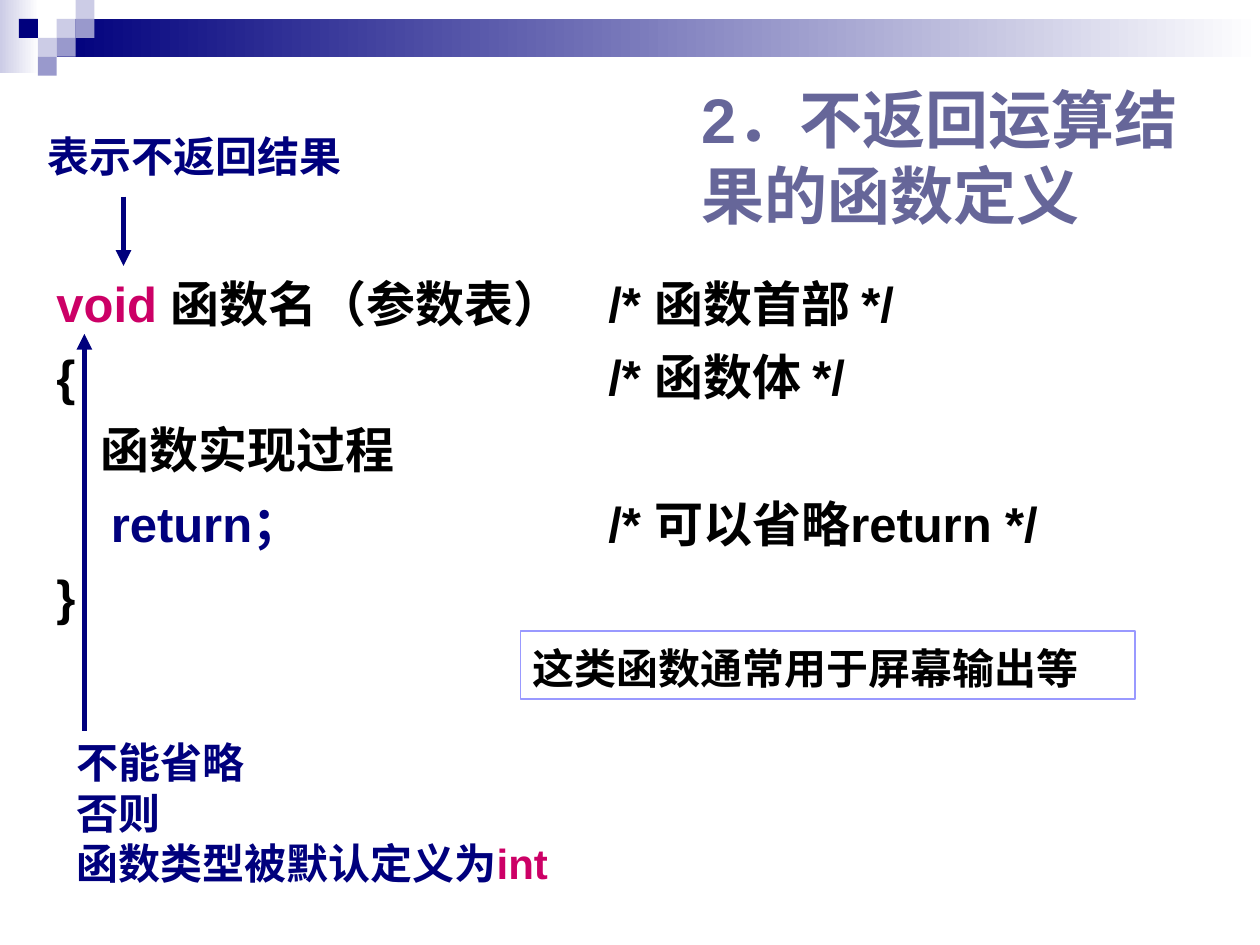
from lxml.etree import SubElement
from pptx import Presentation
from pptx.dml.color import RGBColor
from pptx.enum.shapes import MSO_CONNECTOR, MSO_SHAPE
from pptx.enum.text import MSO_ANCHOR as ANCHOR, PP_ALIGN as ALIGN
from pptx.oxml.ns import qn
from pptx.util import Inches, Pt

FONT = "Arial"
WHITE = RGBColor(0xFF, 0xFF, 0xFF)
BLACK = RGBColor(0, 0, 0)
NAVY = RGBColor(0, 0, 0x7D)
MAGENTA = RGBColor(0xCC, 0, 0x66)
TITLE_COLOR = RGBColor(0x66, 0x66, 0x99)
PALE = RGBColor(0xCC, 0xCC, 0xE6)
LAVENDER = RGBColor(0x99, 0x99, 0xCC)
BORDER = RGBColor(0x99, 0x99, 0xFF)

# Each text is a list of lines, each line a list of (words, colour) runs.
TITLE = [[("2．不返回运算结果的函数定义", TITLE_COLOR)]]
CODE = [
    [("void ", MAGENTA), ("函数名（参数表）\t/* 函数首部 */", BLACK)],
    [("{\t/* 函数体 */", BLACK)],
    [("    函数实现过程", BLACK)],
    [("    return；\t", NAVY), ("/* 可以省略return */", BLACK)],
    [("}", BLACK)],
]
USAGE = [[("这类函数通常用于屏幕输出等", BLACK)]]
VOID_MEANING = [[("表示不返回结果", NAVY)]]
VOID_REQUIRED = [
    [("不能省略", NAVY)],
    [("否则", NAVY)],
    [("函数类型被默认定义为", NAVY), ("int", MAGENTA)],
]

COMMENT_TAB = 4.38
TILE = 0.15
TILES = [  # column, row, colour
    (3, 1, PALE), (4, 0, PALE), (4, 1, LAVENDER), (2, 2, PALE),
    (1, 1, NAVY), (3, 2, LAVENDER), (2, 3, LAVENDER),
]
FADES = [((0, 0, 0.31, 0.58), PALE), ((0.45, 0.15, 9.55, 0.3), NAVY)]
ARROWS = [((0.98, 1.56), (0.98, 2.11)), ((0.67, 5.8), (0.67, 2.65))]


def add_rect(slide, box):
    rect = slide.shapes.add_shape(MSO_SHAPE.RECTANGLE, *map(Inches, box))
    rect.shadow.inherit = False
    rect.line.fill.background()
    return rect


def add_fade(slide, box, color):
    """Rectangle running from color at the left to white at the right."""
    fill = add_rect(slide, box).fill
    fill.gradient()
    fill.gradient_angle = 180
    for stop, stop_color in zip(fill.gradient_stops, (WHITE, color)):
        stop.color.rgb = stop_color


def add_tile(slide, column, row, color):
    fill = add_rect(slide, (column * TILE, row * TILE, TILE, TILE)).fill
    fill.solid()
    fill.fore_color.rgb = color


def write(shape, lines, size, align=ALIGN.LEFT, anchor=ANCHOR.TOP,
          spacing=1.0, gap=0, tab=None, wrap=True):
    frame = shape.text_frame
    frame.word_wrap = wrap
    frame.vertical_anchor = anchor
    for number, line in enumerate(lines):
        paragraph = frame.add_paragraph() if number else frame.paragraphs[0]
        paragraph.alignment = align
        paragraph.line_spacing = spacing
        paragraph.space_before = Pt(gap if number else 0)
        if tab:
            tabs = SubElement(paragraph._p.get_or_add_pPr(), qn("a:tabLst"))
            SubElement(tabs, qn("a:tab"), pos=str(Inches(tab)), algn="l")
        for words, color in line:
            run = paragraph.add_run()
            run.text = words
            run.font.name = FONT
            run.font.size = Pt(size)
            run.font.bold = True
            run.font.color.rgb = color


def add_text(slide, box, lines, size, **layout):
    write(slide.shapes.add_textbox(*map(Inches, box)), lines, size, **layout)


def add_arrow(slide, start, end):
    arrow = slide.shapes.add_connector(
        MSO_CONNECTOR.STRAIGHT, *map(Inches, start + end))
    arrow.line.color.rgb = NAVY
    arrow.line.width = Pt(3)
    SubElement(arrow.line._get_or_add_ln(), qn("a:tailEnd"), type="triangle")
    SubElement(arrow._element.spPr, qn("a:effectLst"))


def main():
    deck = Presentation()
    deck.slide_width, deck.slide_height = Inches(10), Inches(7.5)
    slide = deck.slides.add_slide(deck.slide_layouts[6])

    for box, color in FADES:
        add_fade(slide, box, color)
    for tile in TILES:
        add_tile(slide, *tile)

    add_text(slide, (5.47, 0.68, 4.1, 1.12), TITLE, 36, anchor=ANCHOR.MIDDLE)
    add_text(slide, (0.35, 2.1, 9.37, 3.07), CODE, 28,
             spacing=1.04, gap=7, tab=COMMENT_TAB)

    usage_box = add_rect(slide, (4.13, 5.01, 4.88, 0.54))
    usage_box.fill.solid()
    usage_box.fill.fore_color.rgb = WHITE
    usage_box.line.color.rgb = BORDER
    usage_box.line.width = Pt(1)
    write(usage_box, USAGE, 24, spacing=1.1)

    add_text(slide, (0.28, 0.99, 2.53, 0.5), VOID_MEANING, 24,
             align=ALIGN.CENTER, wrap=False)
    add_text(slide, (0.51, 5.8, 5.59, 1.3), VOID_REQUIRED, 24)
    for start, end in ARROWS:
        add_arrow(slide, start, end)

    deck.save("out.pptx")


if __name__ == "__main__":
    main()
